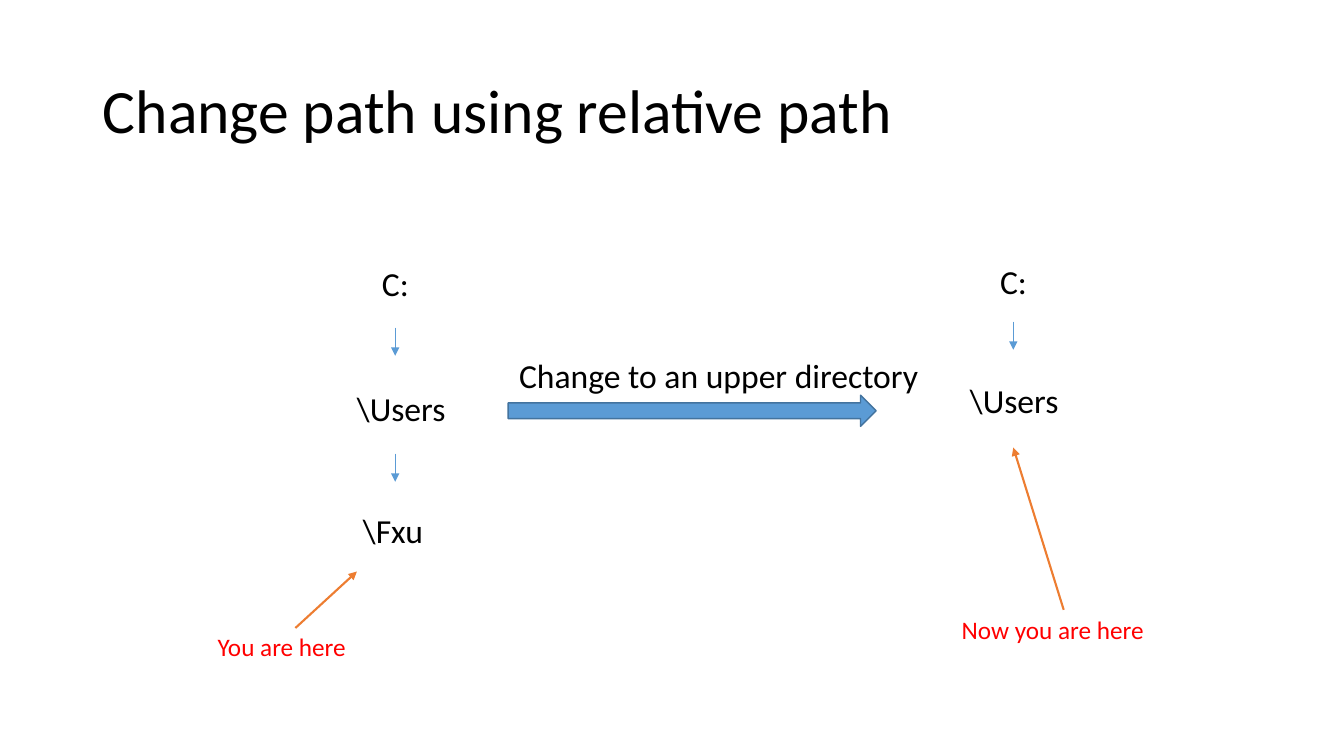
"""Build a slide showing how a relative path moves to an upper directory."""
from lxml.etree import SubElement
from pptx import Presentation
from pptx.dml.color import RGBColor
from pptx.enum.shapes import MSO_CONNECTOR, MSO_SHAPE
from pptx.enum.text import MSO_ANCHOR, PP_ALIGN
from pptx.oxml.ns import qn
from pptx.util import Inches, Pt


def color(value):
    return RGBColor.from_string(value)


def style_text(paragraph, size, value):
    paragraph.font.name = "Calibri"
    paragraph.font.size = Pt(size)
    paragraph.font.color.rgb = color(value)


presentation = Presentation()
presentation.slide_width = Inches(13.33)
presentation.slide_height = Inches(7.5)
slide = presentation.slides.add_slide(presentation.slide_layouts[5])

title = slide.shapes.title
title.left, title.top = Inches(0.92), Inches(0.4)
title.width, title.height = Inches(11.5), Inches(1.45)
title.text_frame.text = "Change path using relative path"
title.text_frame.vertical_anchor = MSO_ANCHOR.MIDDLE
heading = title.text_frame.paragraphs[0]
heading.alignment = PP_ALIGN.LEFT
heading.line_spacing = 0.9
style_text(heading, 44, "000000")

change_arrow = slide.shapes.add_shape(
    MSO_SHAPE.RIGHT_ARROW, Inches(5.04), Inches(3.92), Inches(3.65), Inches(0.31)
)
change_arrow.shadow.inherit = False
change_arrow.fill.solid()
change_arrow.fill.fore_color.rgb = color("5B9BD5")
change_arrow.line.color.rgb = color("43739E")
change_arrow.line.width = Pt(1)

labels = [
    ("C:", 3.69, 2.56, 0.47, 0.5, 24, "000000"),
    ("\\Users", 3.44, 3.8, 1.09, 0.5, 24, "000000"),
    ("\\Fxu", 3.5, 5.01, 0.81, 0.5, 24, "000000"),
    ("C:", 9.82, 2.54, 0.47, 0.5, 24, "000000"),
    ("\\Users", 9.52, 3.72, 1.09, 0.5, 24, "000000"),
    ("Change to an upper directory", 5.05, 3.47, 4.2, 0.5, 24, "000000"),
    ("You are here", 2.06, 6.21, 1.49, 0.4, 18, "FF0000"),
    ("Now you are here", 9.44, 6.05, 2.22, 0.4, 18, "FF0000"),
]
for text, left, top, width, height, size, value in labels:
    label = slide.shapes.add_textbox(
        Inches(left), Inches(top), Inches(width), Inches(height)
    )
    label.text_frame.word_wrap = False
    label.text_frame.text = text
    style_text(label.text_frame.paragraphs[0], size, value)
label.text_frame.word_wrap = True

arrows = [
    (3.92, 3.25, 3.92, 3.53, "5B9BD5", 0.5),
    (3.92, 4.5, 3.92, 4.78, "5B9BD5", 0.5),
    (10.05, 3.19, 10.05, 3.47, "5B9BD5", 0.5),
    (2.93, 6.23, 3.54, 5.67, "ED7D31", 1.5),
    (10.55, 6.05, 10.05, 4.44, "ED7D31", 1.5),
]
for start_x, start_y, end_x, end_y, value, width in arrows:
    arrow = slide.shapes.add_connector(
        MSO_CONNECTOR.STRAIGHT,
        Inches(start_x), Inches(start_y), Inches(end_x), Inches(end_y),
    )
    arrow.line.color.rgb = color(value)
    arrow.line.width = Pt(width)
    SubElement(arrow.line._get_or_add_ln(), qn("a:tailEnd"), type="triangle")
    SubElement(arrow._element.spPr, qn("a:effectLst"))

presentation.save("out.pptx")
